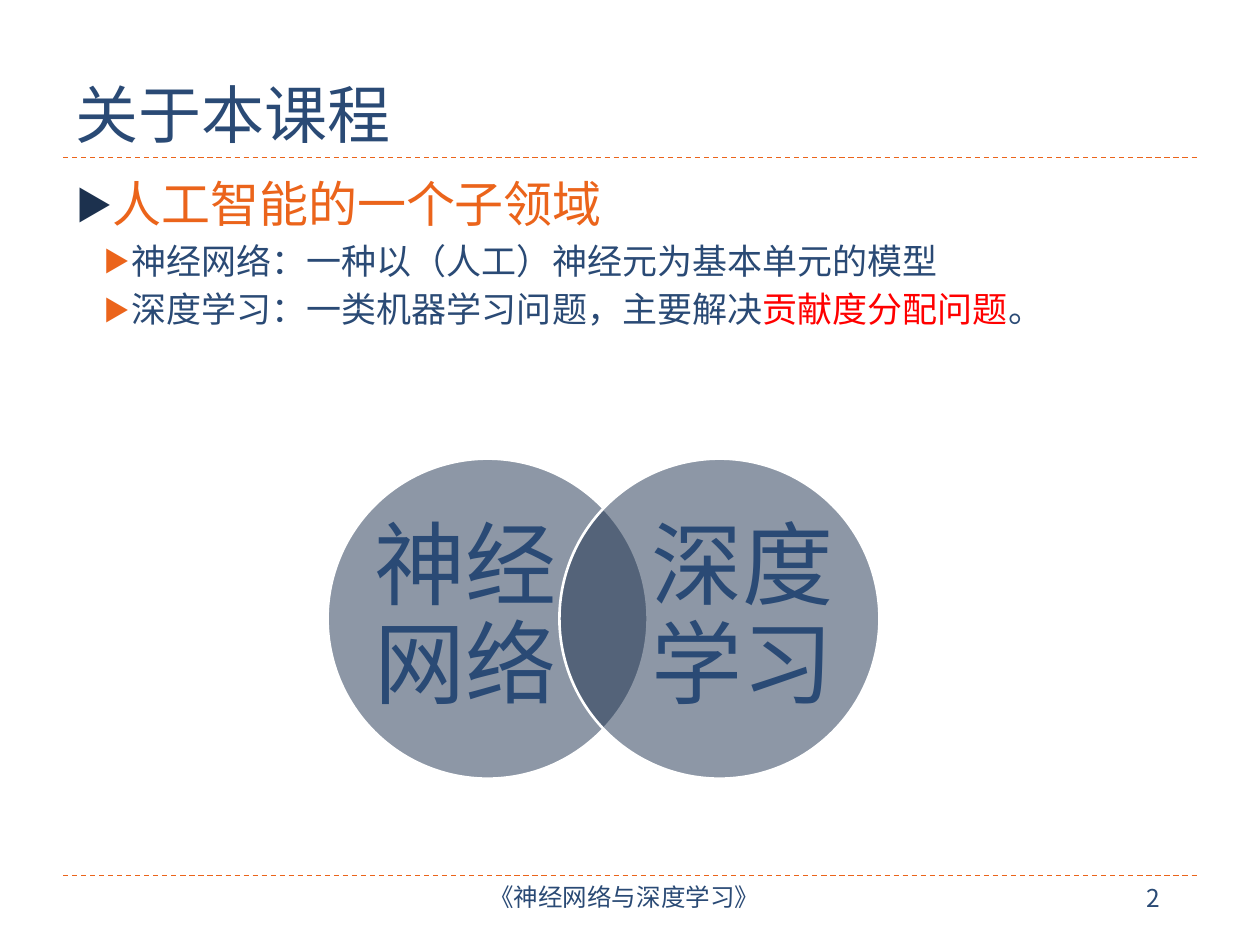
import pptx
import pptx.util
import pptx.dml.color
import pptx.enum.dml
import pptx.enum.shapes
import pptx.enum.text
import pptx.oxml.ns
import lxml.etree

Pt = pptx.util.Pt
ALIGN = pptx.enum.text.PP_ALIGN
ANCHOR = pptx.enum.text.MSO_ANCHOR

COLORS = {"text": "2A4A75", "accent": "EB641B", "navy": "1C314E",
          "red": "FF0000", "white": "FFFFFF"}
FONT = "Noto Sans CJK SC"
VENN_FONT = "Arial"

TITLE = "关于本课程"
FOOTER = "《神经网络与深度学习》"
PAGE_NUMBER = "2"
BODY = [
    (0, [("人工智能的一个子领域", "accent")]),
    (1, [("神经网络：一种以（人工）神经元为基本单元的模型", "text")]),
    (1, [("深度学习：一类机器学习问题，主要解决", "text"),
         ("贡献度分配问题", "red"), ("。", "text")]),
]
LEVELS = [
    {"size": 28, "left": 16, "before": 0, "bullet": "navy"},
    {"size": 20, "left": 32, "before": 3.8, "bullet": "accent"},
]
VENN = [("神经网络", 187.2, 213.12), ("深度学习", 319.68, 371.52)]
CIRCLE_TOP, CIRCLE_SIZE = 262.08, 182.88
LABEL_WIDTH, LABEL_HEIGHT = 105.84, 139.68
RULE_TOPS = [90, 500.4]
MARGIN = 36


def color(name):
    return pptx.dml.color.RGBColor.from_string(COLORS[name])


def add_child(parent, tag, **attributes):
    return lxml.etree.SubElement(parent, pptx.oxml.ns.qn(tag), attributes)


def add_run(paragraph, text, size, color_name="text", font=FONT):
    run = paragraph.add_run()
    run.text = text
    run.font.size = Pt(size)
    run.font.name = font
    run.font.color.rgb = color(color_name)
    add_child(run.font._element, "a:ea", typeface=font)


def add_text_box(slide, left, top, width, height, insets=(7.2, 3.6),
                 anchor=ANCHOR.TOP, wrap=True):
    box = slide.shapes.add_textbox(Pt(left), Pt(top), Pt(width), Pt(height))
    frame = box.text_frame
    frame.word_wrap = wrap
    frame.vertical_anchor = anchor
    frame.margin_left = frame.margin_right = Pt(insets[0])
    frame.margin_top = frame.margin_bottom = Pt(insets[1])
    return frame


def add_rule(slide, top, width):
    rule = slide.shapes.add_connector(
        pptx.enum.shapes.MSO_CONNECTOR.STRAIGHT,
        Pt(MARGIN), Pt(top), Pt(width - MARGIN), Pt(top))
    rule.line.color.rgb = color("accent")
    rule.line.width = Pt(0.75)
    rule.line.dash_style = pptx.enum.dml.MSO_LINE.DASH
    add_child(rule._element.spPr, "a:effectLst")


def add_bullet(paragraph, left, color_name):
    properties = paragraph._p.get_or_add_pPr()
    properties.set("marL", str(Pt(left)))
    properties.set("indent", str(-Pt(16)))
    bullet_color = add_child(properties, "a:buClr")
    add_child(bullet_color, "a:srgbClr", val=COLORS[color_name])
    add_child(properties, "a:buSzPct", val="76000")
    add_child(properties, "a:buFont", typeface=FONT)
    add_child(properties, "a:buChar", char="▶")


def add_body(slide):
    frame = add_text_box(slide, MARGIN, 95.76, 648, 388.8)
    for index, (level, runs) in enumerate(BODY):
        paragraph = frame.add_paragraph() if index else frame.paragraphs[0]
        style = LEVELS[level]
        paragraph.level = level
        add_bullet(paragraph, style["left"], style["bullet"])
        paragraph.space_before = Pt(style["before"])
        for text, color_name in runs:
            add_run(paragraph, text, style["size"], color_name)


def add_venn_set(slide, text, circle_left, label_left):
    circle = slide.shapes.add_shape(
        pptx.enum.shapes.MSO_SHAPE.OVAL, Pt(circle_left), Pt(CIRCLE_TOP),
        Pt(CIRCLE_SIZE), Pt(CIRCLE_SIZE))
    circle.shadow.inherit = False
    circle.fill.solid()
    circle.fill.fore_color.rgb = color("navy")
    fill_color = circle._element.spPr.find(".//" + pptx.oxml.ns.qn("a:srgbClr"))
    add_child(fill_color, "a:alpha", val="50000")
    circle.line.color.rgb = color("white")
    circle.line.width = Pt(1.5)
    label_top = CIRCLE_TOP + (CIRCLE_SIZE - LABEL_HEIGHT) / 2
    frame = add_text_box(slide, label_left, label_top, LABEL_WIDTH,
                         LABEL_HEIGHT, (0, 0), ANCHOR.MIDDLE)
    paragraph = frame.paragraphs[0]
    paragraph.alignment = ALIGN.CENTER
    paragraph.line_spacing = 0.9
    add_run(paragraph, text, 52, font=VENN_FONT)


def main():
    presentation = pptx.Presentation()
    presentation.slide_width, presentation.slide_height = Pt(720), Pt(540)
    slide = presentation.slides.add_slide(presentation.slide_layouts[6])
    for top in RULE_TOPS:
        add_rule(slide, top, 720)

    footer = add_text_box(slide, 239.76, 501.12, 234, 28.8, (5, 2.9))
    footer.paragraphs[0].alignment = ALIGN.CENTER
    add_run(footer.paragraphs[0], FOOTER, 14)
    number = add_text_box(slide, 648, 501.12, 29.52, 24.48, wrap=False)
    add_run(number.paragraphs[0], PAGE_NUMBER, 14)

    title = add_text_box(slide, MARGIN, 12.24, 648, 77.76, anchor=ANCHOR.BOTTOM)
    add_run(title.paragraphs[0], TITLE, 36)
    add_body(slide)
    for venn_set in VENN:
        add_venn_set(slide, *venn_set)
    presentation.save("out.pptx")


if __name__ == "__main__":
    main()
